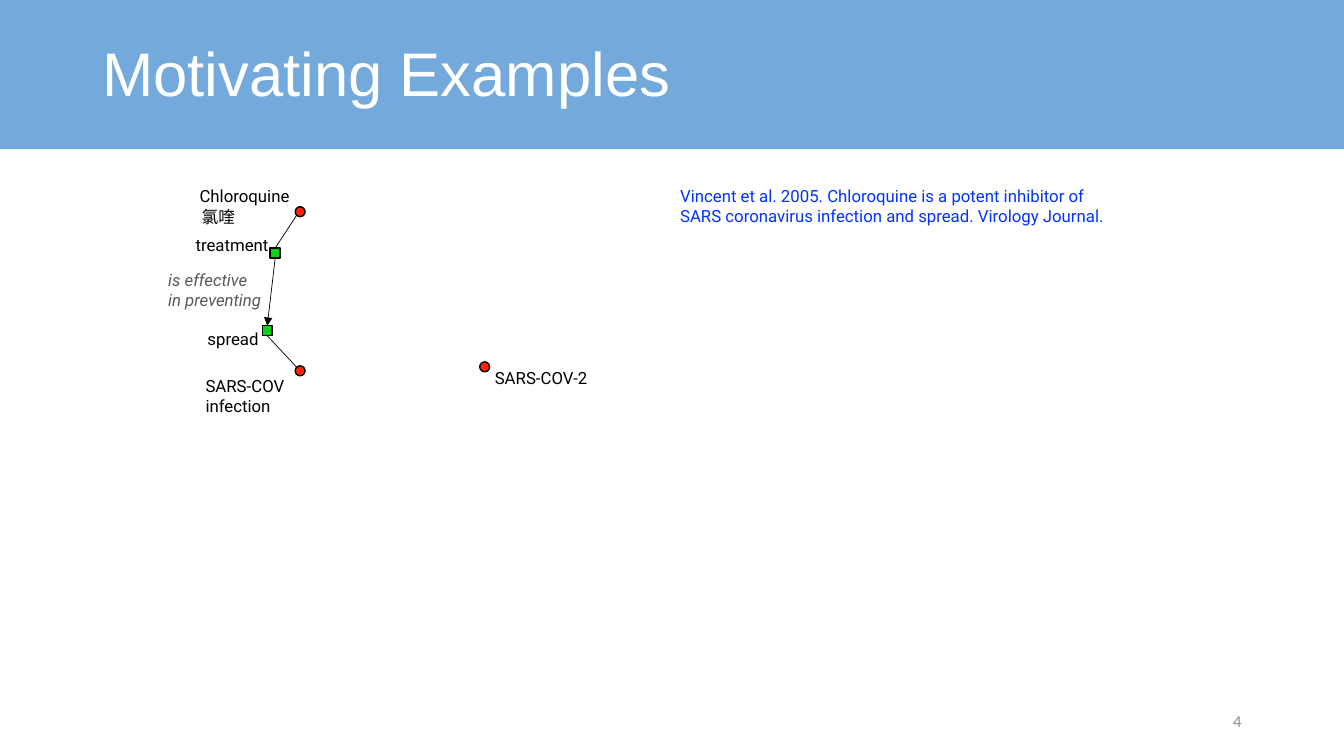
from lxml.etree import SubElement
from pptx import Presentation
from pptx.dml.color import RGBColor
from pptx.enum.shapes import MSO_CONNECTOR, MSO_SHAPE
from pptx.enum.text import MSO_ANCHOR, PP_ALIGN
from pptx.oxml.ns import qn
from pptx.util import Cm, Pt

NODE = 0.25
CORNER = 0.04

NODES = {
    "chloroquine": (MSO_SHAPE.OVAL, "FE2504", 3.45, 0.66),
    "treatment": (MSO_SHAPE.RECTANGLE, "02D40E", 2.82, 1.7),
    "spread": (MSO_SHAPE.RECTANGLE, "02D40E", 2.62, 3.66),
    "sars_cov": (MSO_SHAPE.OVAL, "FE2504", 3.45, 4.67),
    "sars_cov_2": (MSO_SHAPE.OVAL, "FE2504", 8.1, 4.57),
}

LABELS = [
    ("SARS-COV-2", 8.23, 4.6, 3.1),
    ("SARS-COV\ninfection", 0.94, 4.8, 2.74),
    ("spread", 0.99, 3.61, 1.83),
    ("treatment", 0.69, 1.24, 2.34),
    ("Chloroquine", 0.79, 0, 2.79),
    ("氯喹", 0.84, 0.53, 1.37),
]


def rgb(value):
    return RGBColor.from_string(value)


def add_text(slide, text, x, y, w, h, size=12, font="Roboto", color="000000", italic=False,
             align=PP_ALIGN.LEFT, anchor=MSO_ANCHOR.TOP, wrap=False, spacing=None):
    tf = slide.shapes.add_textbox(Cm(x), Cm(y), Cm(w), Cm(h)).text_frame
    tf.word_wrap = wrap
    tf.vertical_anchor = anchor
    tf.text = text
    for p in tf.paragraphs:
        p.alignment = align
        p.line_spacing = spacing
        for r in p.runs:
            r.font.size = Pt(size)
            r.font.name = font
            r.font.italic = italic
            r.font.color.rgb = rgb(color)


def add_node(slide, kind, fill, x, y):
    sp = slide.shapes.add_shape(kind, Cm(x), Cm(y), Cm(NODE), Cm(NODE))
    sp.shadow.inherit = False
    sp.fill.solid()
    sp.fill.fore_color.rgb = rgb(fill)
    sp.line.color.rgb = rgb("000000")
    sp.line.width = Pt(1)
    return sp


def add_link(slide, start, end, side, start_side=None, dx=0, dy=0, arrow=False):
    cx = slide.shapes.add_connector(MSO_CONNECTOR.STRAIGHT, start.left + Cm(dx),
                                    start.top + Cm(dy), end.left, end.top)
    if start_side is not None:
        cx.begin_connect(start, start_side)
    cx.end_connect(end, side)
    cx.line.color.rgb = rgb("000000")
    cx.line.width = Pt(0.5)
    if arrow:
        SubElement(cx.line._get_or_add_ln(), qn("a:tailEnd"), type="triangle")
    SubElement(cx._element.spPr, qn("a:effectLst"))


def add_header(slide, title, x, y, w, h):
    sp = slide.shapes.add_shape(MSO_SHAPE.RECTANGLE, Cm(x), Cm(y), Cm(w), Cm(h))
    sp.shadow.inherit = False
    sp.fill.solid()
    sp.fill.fore_color.rgb = rgb("5B9BD5")
    SubElement(sp.fill._xPr.find(qn("a:solidFill"))[0], qn("a:alpha"), val="85000")
    sp.line.fill.background()
    add_text(slide, title, x + 2.33, y + 0.08, w - 4.66, h - 0.08, size=44, font="Arial",
             color="FFFFFF", anchor=MSO_ANCHOR.MIDDLE, wrap=True, spacing=0.9)


def add_diagram(slide, x, y):
    nodes = {name: add_node(slide, kind, fill, x + dx, y + dy)
             for name, (kind, fill, dx, dy) in NODES.items()}
    add_link(slide, nodes["chloroquine"], nodes["treatment"], 0, dx=CORNER, dy=NODE - CORNER)
    add_link(slide, nodes["treatment"], nodes["spread"], 0, start_side=2, arrow=True)
    add_link(slide, nodes["sars_cov"], nodes["spread"], 2, dx=CORNER, dy=CORNER)
    for text, dx, dy, w in LABELS:
        add_text(slide, text, x + dx, y + dy, w, 0.76)
    add_text(slide, "is effective\nin preventing", x, y + 2.11, 2.95, 1.27,
             color="595959", italic=True)


def add_citation(slide, x, y, w, h):
    add_text(slide, "Vincent et al. 2005. Chloroquine is a potent inhibitor of SARS coronavirus "
             "infection and spread. Virology Journal.", x, y, w, h, color="0432FF", wrap=True)


def add_page_number(slide, number, x, y, w, h):
    add_text(slide, number, x, y, w, h, font="Calibri", color="8C8C8C",
             align=PP_ALIGN.RIGHT, anchor=MSO_ANCHOR.MIDDLE, wrap=True)


def main():
    prs = Presentation()
    prs.slide_width, prs.slide_height = Cm(33.87), Cm(19.05)
    slide = prs.slides.add_slide(prs.slide_layouts[6])
    add_header(slide, "Motivating Examples", 0, 0, 33.87, 3.76)
    add_page_number(slide, "4", 23.92, 17.66, 7.62, 1.01)
    add_diagram(slide, 3.99, 4.55)
    add_citation(slide, 16.89, 4.55, 11.71, 1.27)
    prs.save("out.pptx")


if __name__ == "__main__":
    main()
